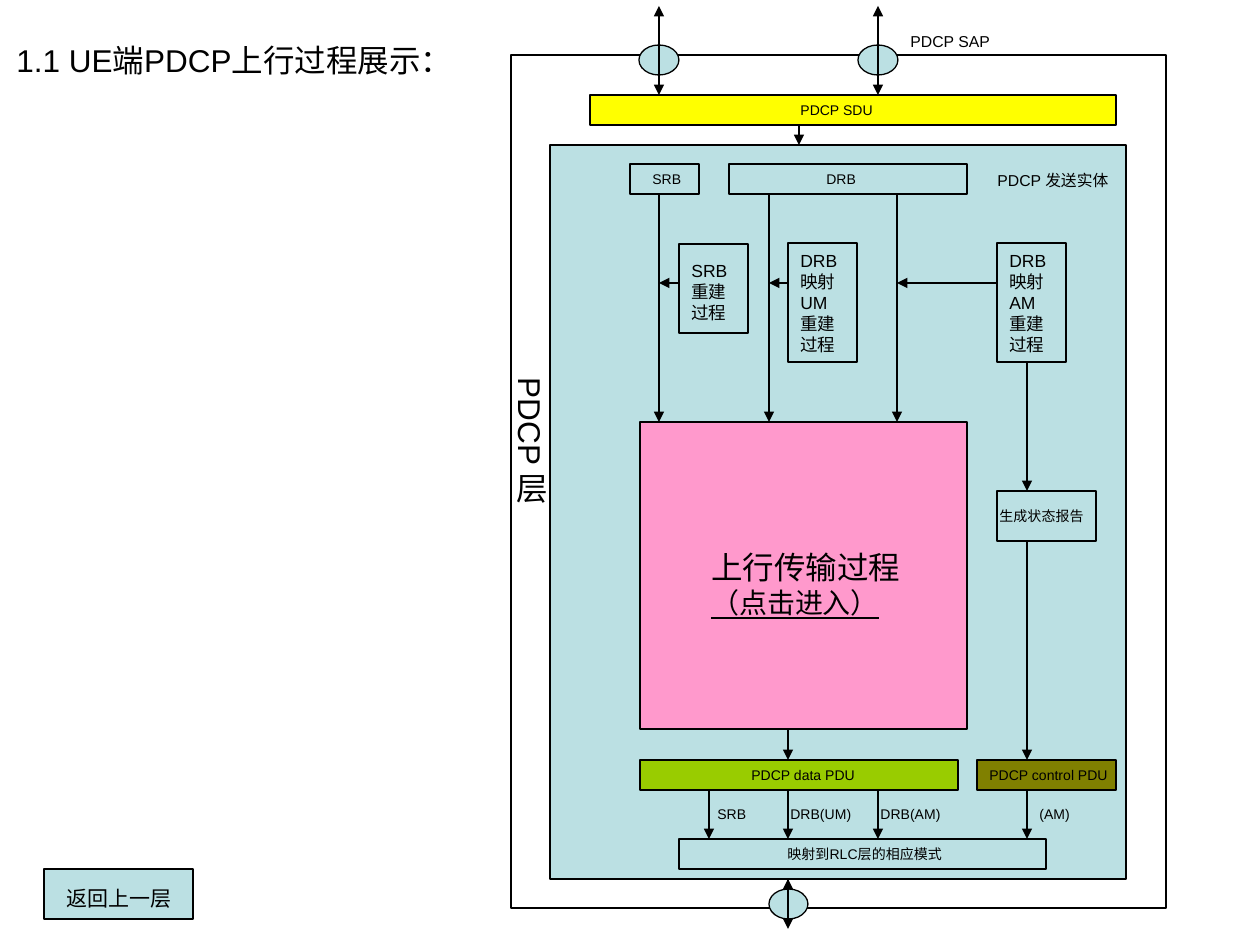
"""Build the slide showing the uplink PDCP process on the UE side."""
from dataclasses import dataclass

from lxml import etree
from pptx import Presentation
from pptx.dml.color import RGBColor
from pptx.enum.shapes import MSO_CONNECTOR, MSO_SHAPE
from pptx.enum.text import MSO_AUTO_SIZE
from pptx.oxml.ns import qn
from pptx.util import Emu, Pt

RECT = MSO_SHAPE.RECTANGLE
OVAL = MSO_SHAPE.OVAL
LINE = MSO_CONNECTOR.STRAIGHT
GROW = MSO_AUTO_SIZE.SHAPE_TO_FIT_TEXT
SCALE = 914400 / 126


@dataclass(frozen=True)
class Theme:
    font: str = "Arial"
    ink: str = "000000"
    white: str = "FFFFFF"
    pale: str = "BBE0E3"
    yellow: str = "FFFF00"
    pink: str = "FF99CC"
    green: str = "99CC00"
    olive: str = "808000"
    rule: float = 0.75
    tiny: int = 8
    small: int = 9
    body: int = 10
    button: int = 12
    link: int = 16
    title: int = 18


THEME = Theme()


@dataclass(frozen=True)
class Box:
    x: int
    y: int
    w: int
    h: int
    fill: str = THEME.pale
    kind: int = RECT


@dataclass(frozen=True)
class Arrow:
    x: int
    y: int
    to_x: int
    to_y: int


@dataclass(frozen=True)
class Run:
    text: str
    size: int = THEME.tiny
    under: bool = False


@dataclass(frozen=True)
class Label:
    x: int
    y: int
    w: int
    h: int
    runs: tuple[Run, ...]
    vert: bool = False


def px(size: int) -> Emu:
    return Emu(round(size * SCALE))


def color(code: str) -> RGBColor:
    return RGBColor.from_string(code)


def draw_box(slide, box: Box) -> None:
    shape = slide.shapes.add_shape(box.kind, px(box.x), px(box.y), px(box.w), px(box.h))
    shape.shadow.inherit = False
    shape.fill.solid()
    shape.fill.fore_color.rgb = color(box.fill)
    shape.line.color.rgb = color(THEME.ink)
    shape.line.width = Pt(THEME.rule)


def draw_arrow(slide, arrow: Arrow) -> None:
    link = slide.shapes.add_connector(
        LINE, px(arrow.x), px(arrow.y), px(arrow.to_x), px(arrow.to_y))
    link.line.color.rgb = color(THEME.ink)
    link.line.width = Pt(THEME.rule)
    props = link.element.spPr
    etree.SubElement(props.find(qn("a:ln")), qn("a:tailEnd"), type="triangle")
    etree.SubElement(props, qn("a:effectLst"))


def draw_label(slide, label: Label) -> None:
    area = slide.shapes.add_textbox(px(label.x), px(label.y), px(label.w), px(label.h))
    frame = area.text_frame
    frame.word_wrap = True
    frame.auto_size = GROW
    if label.vert:
        frame.margin_left = frame.margin_right = Pt(3.6)
        frame.margin_top = frame.margin_bottom = Pt(7.2)
        area.element.txBody.find(qn("a:bodyPr")).set("vert", "eaVert")
    for i, item in enumerate(label.runs):
        para = frame.add_paragraph() if i else frame.paragraphs[0]
        run = para.add_run()
        run.text = item.text
        run.font.name = THEME.font
        run.font.size = Pt(item.size)
        run.font.color.rgb = color(THEME.ink)
        if item.under:
            run.font.underline = True


def tag(x: int, y: int, w: int, text: str) -> Label:
    return Label(x, y, w, 30, (Run(text),))


def note(x: int, y: int, w: int, h: int, *lines: str) -> Label:
    return Label(x, y, w, h, tuple(Run(line, THEME.body) for line in lines))


PORTS = (659, 878)
BOXES = (
    Box(511, 55, 655, 853, THEME.white),
    *(Box(x - 20, 45, 40, 30, kind=OVAL) for x in PORTS),
    Box(590, 95, 526, 30, THEME.yellow),
    Box(550, 145, 576, 734),
    Box(640, 422, 327, 307, THEME.pink),
    Box(679, 244, 69, 89),
    Box(788, 243, 69, 119),
    Box(997, 243, 69, 119),
    Box(640, 760, 318, 30, THEME.green),
    Box(997, 491, 99, 50),
    Box(977, 760, 139, 30, THEME.olive),
    Box(679, 839, 367, 30),
    Box(630, 164, 69, 30),
    Box(729, 164, 238, 30),
    Box(769, 889, 39, 30, kind=OVAL),
    Box(44, 869, 149, 50),
)
ARROWS = (
    *(Arrow(x, 35, x, 95) for x in PORTS),
    *(Arrow(x, 75, x, 6) for x in PORTS),
    Arrow(799, 125, 799, 145),
    *(Arrow(x, 194, x, 422) for x in (659, 769, 897)),
    *(Arrow(x, 283, end, 283) for x, end in ((679, 659), (788, 769), (997, 897))),
    Arrow(788, 729, 788, 760),
    Arrow(1027, 362, 1027, 491),
    Arrow(1027, 541, 1027, 760),
    *(Arrow(x, 790, x, 839) for x in (709, 788, 878, 1027)),
    Arrow(788, 879, 788, 929),
    Arrow(788, 919, 788, 879),
)
LABELS = (
    Label(4, 35, 494, 50, (Run("1.1 UE端PDCP上行过程展示：", THEME.title),)),
    Label(898, 26, 114, 32, (Run("PDCP SAP", THEME.small),)),
    Label(985, 165, 148, 32, (Run("PDCP 发送实体", THEME.small),)),
    Label(493, 365, 63, 165, (Run("PDCP 层", THEME.title),), vert=True),
    Label(699, 542, 224, 84, (
        Run("上行传输过程", THEME.title), Run("（点击进入）", THEME.link, True))),
    Label(54, 879, 138, 38, (Run("返回上一层", THEME.button),)),
    note(679, 254, 69, 76, "SRB重建过程"),
    note(788, 244, 69, 118, "DRB映射UM重建过程"),
    note(997, 244, 69, 118, "DRB映射AM", "重建过程"),
    tag(788, 95, 106, "PDCP SDU"),
    tag(640, 164, 62, "SRB"),
    tag(814, 164, 62, "DRB"),
    tag(987, 501, 118, "生成状态报告"),
    tag(739, 760, 138, "PDCP data PDU"),
    tag(977, 760, 154, "PDCP control PDU"),
    tag(705, 799, 62, "SRB"),
    tag(778, 799, 94, "DRB(UM)"),
    tag(868, 799, 94, "DRB(AM)"),
    tag(1027, 799, 64, "(AM)"),
    tag(775, 839, 197, "映射到RLC层的相应模式"),
)


def main() -> None:
    deck = Presentation()
    deck.slide_width, deck.slide_height = px(1260), px(945)
    slide = deck.slides.add_slide(deck.slide_layouts[6])
    for box in BOXES:
        draw_box(slide, box)
    for arrow in ARROWS:
        draw_arrow(slide, arrow)
    for label in LABELS:
        draw_label(slide, label)
    deck.save("out.pptx")


if __name__ == "__main__":
    main()
